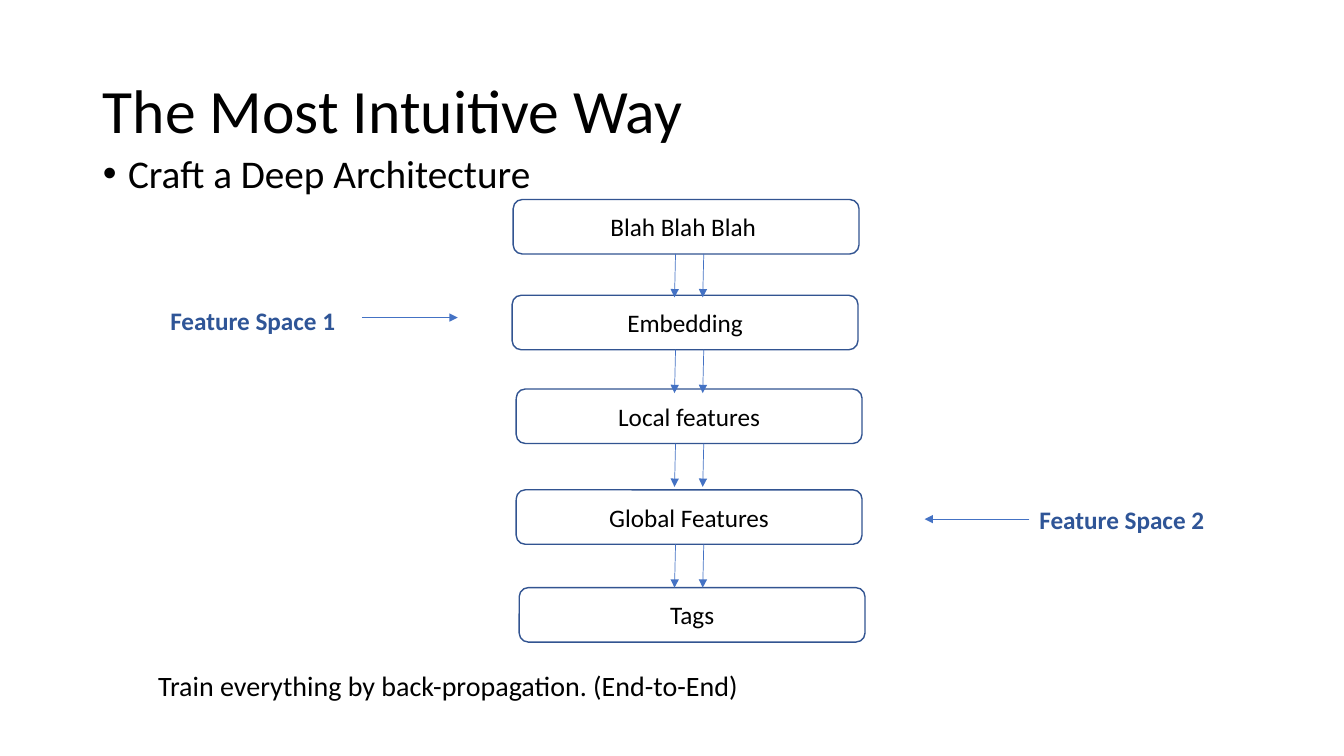
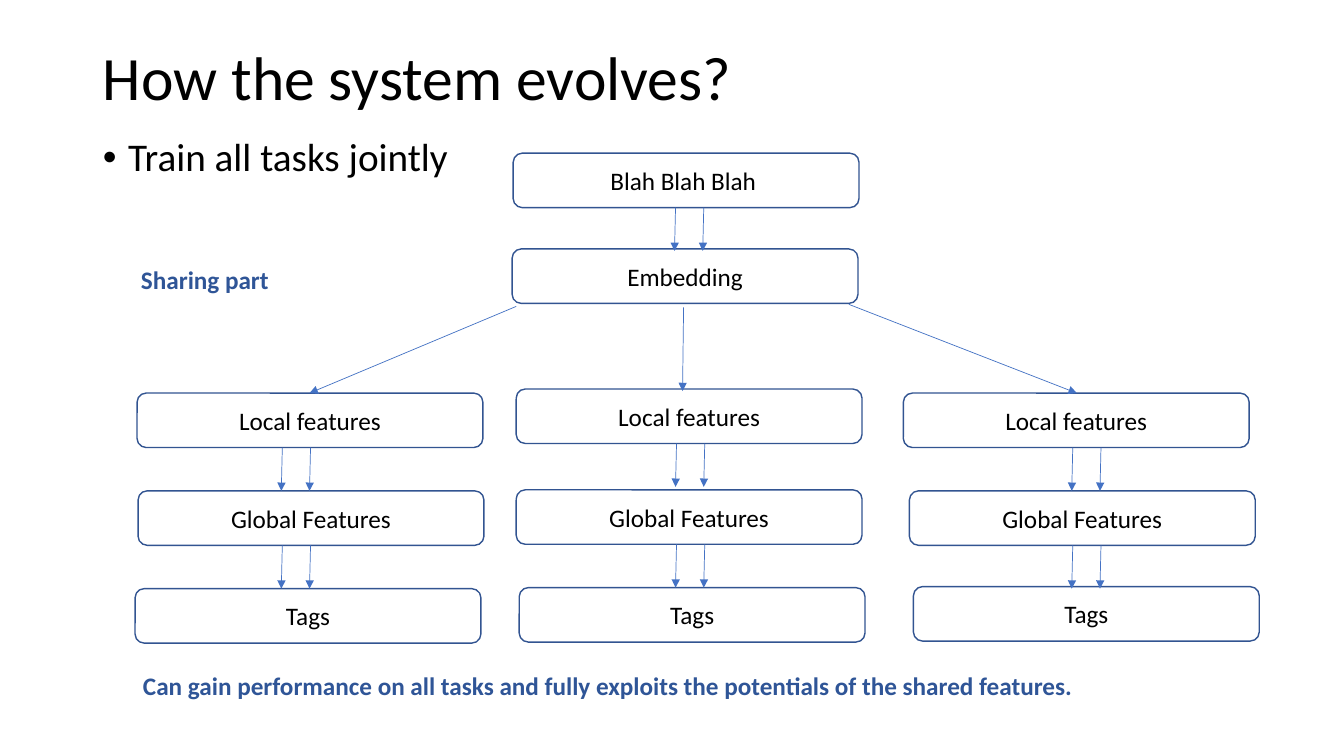
from dataclasses import dataclass

from lxml import etree
from pptx import Presentation
from pptx.dml.color import RGBColor
from pptx.enum.shapes import MSO_CONNECTOR, MSO_SHAPE
from pptx.enum.text import MSO_ANCHOR, MSO_AUTO_SIZE, PP_ALIGN
from pptx.oxml.ns import qn
from pptx.util import Inches, Pt

ROUNDED = MSO_SHAPE.ROUNDED_RECTANGLE
STRAIGHT = MSO_CONNECTOR.STRAIGHT
LEFT, CENTER = PP_ALIGN.LEFT, PP_ALIGN.CENTER
TOP, MIDDLE = MSO_ANCHOR.TOP, MSO_ANCHOR.MIDDLE
NO_FIT, GROW = MSO_AUTO_SIZE.NONE, MSO_AUTO_SIZE.SHAPE_TO_FIT_TEXT


@dataclass(frozen=True)
class Theme:
    font: str = "Calibri"
    text: RGBColor = RGBColor(0x00, 0x00, 0x00)
    accent: RGBColor = RGBColor(0x2F, 0x55, 0x97)
    outline: RGBColor = RGBColor(0x32, 0x54, 0x91)
    arrow: RGBColor = RGBColor(0x44, 0x72, 0xC4)
    title_size: int = 44
    bullet_size: int = 28
    note_size: int = 20
    label_size: int = 18


THEME = Theme()
BOX_WIDTH, BOX_HEIGHT = 3.43, 0.54
ARROW_GAP, ARROW_DROP, ARROW_LEAN = 0.28, 0.43, 0.01
INPUT_LABELS = ["Blah Blah Blah ", "Embedding"]
TASK_LABELS = ["Local features", "Global Features", "Tags"]
MIDDLE_TASK = [(5.12, 3.86), (5.12, 4.86), (5.15, 5.83)]


def set_attributes(target, values):
    for name, value in values.items():
        setattr(target, name, value)


def write_text(shape, text, size, color=THEME.text, bold=False, frame=None, paragraph=None):
    text_frame = shape.text_frame
    text_frame.text = text
    set_attributes(text_frame, frame or {})
    first = text_frame.paragraphs[0]
    set_attributes(first, paragraph or {})
    font = first.runs[0].font
    set_attributes(font, {"name": THEME.font, "size": Pt(size), "bold": bold})
    font.color.rgb = color


def place(shape, box):
    lengths = [Inches(value) for value in box]
    set_attributes(shape, dict(zip(("left", "top", "width", "height"), lengths)))


# Title and bullet
def add_heading(presentation, title, title_box, bullet, bullet_box):
    slide = presentation.slides.add_slide(presentation.slide_layouts[1])
    title_shape, body = slide.placeholders
    place(title_shape, title_box)
    place(body, bullet_box)
    write_text(title_shape, title, THEME.title_size,
               frame={"vertical_anchor": MIDDLE, "auto_size": NO_FIT},
               paragraph={"alignment": LEFT, "line_spacing": 0.9})
    write_text(body, bullet, THEME.bullet_size,
               frame={"vertical_anchor": TOP, "auto_size": NO_FIT},
               paragraph={"line_spacing": 0.9, "space_before": Pt(10)})
    properties = body.text_frame.paragraphs[0]._p.get_or_add_pPr()
    properties.set("marL", str(Inches(0.25)))
    properties.set("indent", str(Inches(-0.25)))
    etree.SubElement(properties, qn("a:buChar")).set("char", "•")
    return slide


# Free-standing text
def add_label(slide, text, box, size=THEME.label_size, color=THEME.accent, bold=True):
    label = slide.shapes.add_textbox(*[Inches(value) for value in box])
    write_text(label, text, size, color, bold, {"word_wrap": False, "auto_size": GROW})


# Arrow with a triangular head at its end
def add_arrow(slide, start, end):
    points = [Inches(value) for value in (*start, *end)]
    arrow = slide.shapes.add_connector(STRAIGHT, *points)
    arrow.line.color.rgb = THEME.arrow
    arrow.line.width = Pt(0.5)
    etree.SubElement(arrow.line._get_or_add_ln(), qn("a:tailEnd")).set("type", "triangle")
    etree.SubElement(arrow._element.spPr, qn("a:effectLst"))


# Layer of the network
def add_layer(slide, text, left, top):
    layer = slide.shapes.add_shape(ROUNDED, 0, 0, 0, 0)
    place(layer, (left, top, BOX_WIDTH, BOX_HEIGHT))
    layer.shadow.inherit = False
    layer.fill.background()
    layer.line.color.rgb = THEME.outline
    layer.line.width = Pt(1)
    write_text(layer, text, THEME.label_size, frame={"vertical_anchor": MIDDLE},
               paragraph={"alignment": CENTER})


# Column of layers joined by pairs of arrows
def add_stack(slide, labels, corners, arrow_left):
    for text, corner in zip(labels, corners):
        add_layer(slide, text, *corner)
    for _, top in corners[:-1]:
        bottom = top + BOX_HEIGHT
        for x in (arrow_left, arrow_left + ARROW_GAP):
            add_arrow(slide, (x, bottom), (x - ARROW_LEAN, bottom + ARROW_DROP))


def build_architecture_slide(presentation):
    slide = add_heading(presentation, "The Most Intuitive Way", (0.92, 0.4, 11.5, 1.45),
                        "Craft a Deep Architecture", (0.92, 1.48, 11.5, 5.23))
    add_stack(slide, INPUT_LABELS + TASK_LABELS,
              [(5.09, 1.98), (5.08, 2.93)] + MIDDLE_TASK, 6.7)
    # Feature spaces and their pointers
    add_label(slide, "Feature Space 1", (1.59, 2.98, 1.85, 0.4))
    add_label(slide, "Feature Space 2", (10.21, 4.95, 1.85, 0.4))
    add_arrow(slide, (3.59, 3.15), (4.54, 3.15))
    add_arrow(slide, (10.21, 5.15), (9.17, 5.15))
    add_label(slide, "Train everything by back-propagation. (End-to-End)",
              (1.47, 6.58, 6, 0.44), THEME.note_size, THEME.text, False)


def build_evolution_slide(presentation):
    slide = add_heading(presentation, "How the system evolves?", (0.92, 0.3, 11.5, 0.99),
                        "Train all tasks jointly", (0.92, 1.32, 11.5, 5.76))
    add_stack(slide, INPUT_LABELS, [(5.09, 1.52), (5.08, 2.47)], 6.7)
    # One stack per task, left to right
    tasks = [
        ([(1.36, 3.9), (1.37, 4.87), (1.34, 5.84)], 2.8),
        (MIDDLE_TASK, 6.71),
        ([(8.96, 3.9), (9.02, 4.87), (9.06, 5.82)], 10.64),
    ]
    for corners, arrow_left in tasks:
        add_stack(slide, TASK_LABELS, corners, arrow_left)
    # Branches from the shared embedding
    branches = [((5.12, 3.04), (3.07, 3.9)), ((6.78, 3.05), (6.77, 3.88)),
                ((8.42, 3.02), (10.68, 3.9))]
    for start, end in branches:
        add_arrow(slide, start, end)
    add_label(slide, "Sharing part", (1.3, 2.57, 1.48, 0.4))
    add_label(slide, "Can gain performance on all tasks and fully exploits the "
              "potentials of the shared features.", (1.32, 6.6, 9.43, 0.4))


presentation = Presentation()
presentation.slide_width = Inches(13.33)
presentation.slide_height = Inches(7.5)
build_architecture_slide(presentation)
build_evolution_slide(presentation)
presentation.save("out.pptx")
